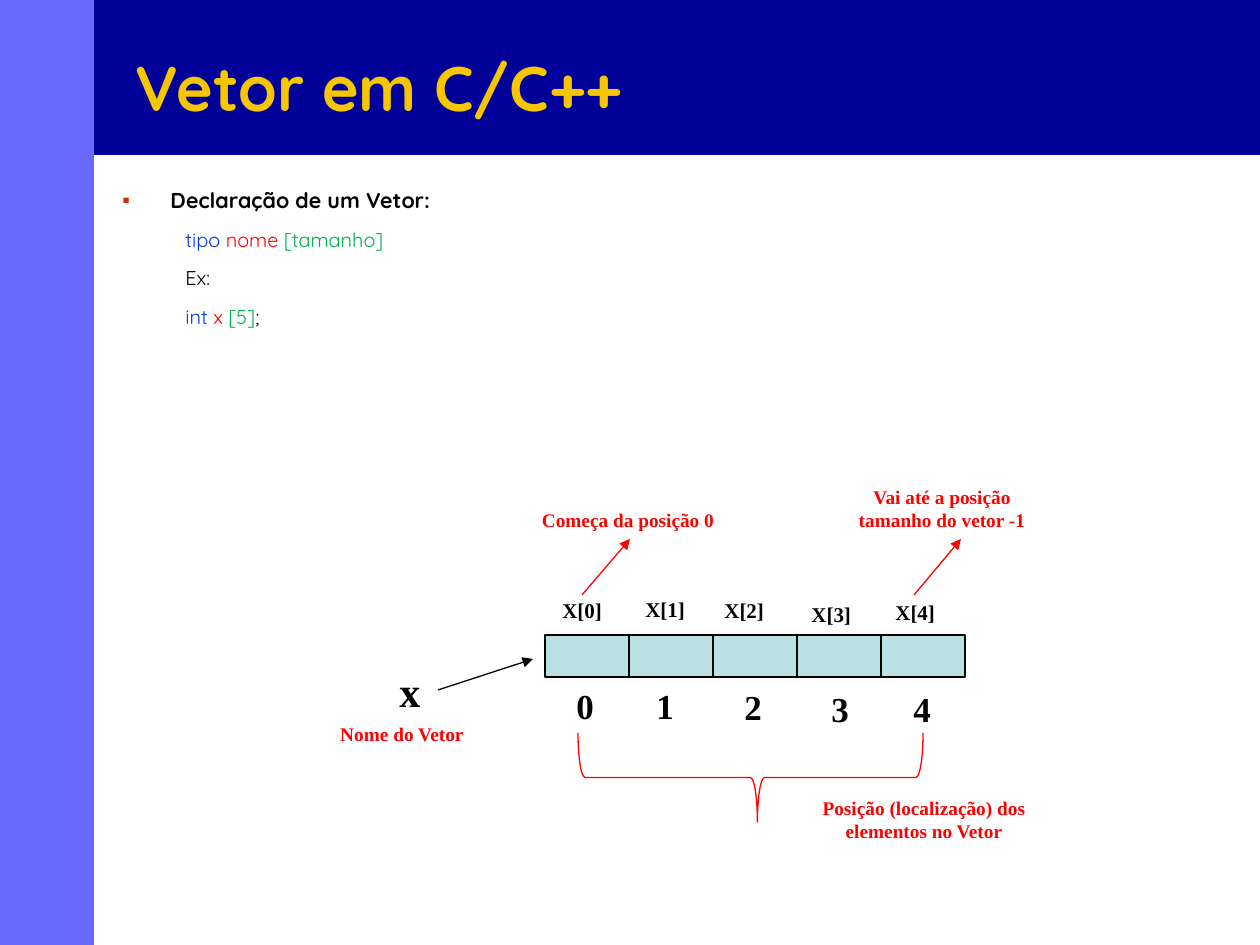
from lxml import etree
from pptx import Presentation
from pptx.dml.color import RGBColor
from pptx.enum.shapes import MSO_CONNECTOR, MSO_SHAPE
from pptx.enum.text import MSO_ANCHOR, PP_ALIGN
from pptx.oxml.ns import qn
from pptx.util import Emu, Pt

RECT, BRACE = MSO_SHAPE.RECTANGLE, MSO_SHAPE.LEFT_BRACE
LINE = MSO_CONNECTOR.STRAIGHT
LEFT, CENTER, JUSTIFY = PP_ALIGN.LEFT, PP_ALIGN.CENTER, PP_ALIGN.JUSTIFY
MIDDLE = MSO_ANCHOR.MIDDLE
SERIF, SANS = "Times New Roman", "Quicksand"
BLACK, INK, RED, BLUE, GREEN = "000000", "020202", "FF0000", "0038EA", "00B050"
color = RGBColor.from_string


def px(*vals):
    """Turn pixels (126 to the inch) into EMU."""
    return [Emu(round(v * 914400 / 126)) for v in vals]


def label(box, text, size, tint, font=SERIF, align=LEFT):
    shape = slide.shapes.add_textbox(*px(*box))
    frame = shape.text_frame
    frame.word_wrap = True
    frame.text = text
    para = frame.paragraphs[0]
    para.alignment = align
    face = para.runs[0].font
    face.name, face.size, face.bold = font, Pt(size), True
    face.color.rgb = color(tint)
    return frame


prs = Presentation()
prs.slide_width, prs.slide_height = px(1260, 945)
slide = prs.slides.add_slide(prs.slide_layouts[6])

# Header band, side band and the five cells of the vector
cells = [((545 + 84 * i, 635, 84, 42), "BBE0E3", BLACK) for i in range(5)]
bands = [((94, 0, 1166, 155), "000099", None), ((0, 0, 94, 945), "6969FF", None)]
for box, fill, edge in bands + cells:
    rect = slide.shapes.add_shape(RECT, *px(*box))
    rect.shadow.inherit = False
    rect.fill.solid()
    rect.fill.fore_color.rgb = color(fill)
    if edge:
        rect.line.color.rgb = color(edge)
        rect.line.width = Pt(0.75)
    else:
        rect.line.fill.background()

title = label((123, 38, 1074, 97), "Vetor em C/C++", 36, "F6C700", SANS)
title.vertical_anchor = MIDDLE

# Declaration: a bulleted heading, then lines of coloured parts
body = label((110, 186, 1150, 204), "Declaração de um Vetor:", 12.3, BLACK, SANS, JUSTIFY)
head = body.paragraphs[0]
head.line_spacing = 0.8
props = head._p.get_or_add_pPr()
props.set("marL", str(px(48)[0]))
props.set("indent", str(px(-48)[0]))
tone = etree.SubElement(props, qn("a:buClr"))
etree.SubElement(tone, qn("a:srgbClr"), val="CC3300")
etree.SubElement(props, qn("a:buFont"), typeface="Arial")
etree.SubElement(props, qn("a:buChar"), char="▪")

rows = [
    [("tipo ", BLUE), ("nome ", RED), ("[tamanho]", GREEN)],
    [("Ex:", BLACK)],
    [("int ", BLUE), ("x ", RED), ("[5]", GREEN), (";", BLACK)],
]
for row in rows:
    para = body.add_paragraph()
    para.alignment = JUSTIFY
    para.line_spacing = 0.8
    para.space_before = Pt(11)
    para._p.get_or_add_pPr().set("marL", str(px(63)[0]))
    for text, tint in row:
        run = para.add_run()
        run.text = text
        run.font.name, run.font.size = SANS, Pt(11.4)
        run.font.color.rgb = color(tint)

# Element names above the cells, positions below: left, top
names = [(550, 591), (633, 590), (712, 591), (799, 595), (883, 593)]
spots = [(564, 678), (644, 678), (732, 679), (819, 681), (901, 681)]
for i, (name, spot) in enumerate(zip(names, spots)):
    label((*name, 68, 38), f"X[{i}]", 12, INK)
    label((*spot, 46, 55), str(i), 20, INK)

label((387, 659, 68, 63), "x", 24, INK)
notes = [
    ((319, 716, 166, 37), "Nome do Vetor"),
    ((774, 790, 300, 59), "Posição (localização) dos elementos no Vetor"),
    ((478, 502, 300, 37), "Começa da posição 0"),
    ((833, 479, 218, 59), "Vai até a posição tamanho do vetor -1"),
]
for box, text in notes:
    label(box, text, 11, RED, align=CENTER)

arrows = [
    ((438, 690, 533, 659), BLACK),
    ((582, 595, 630, 539), RED),
    ((914, 595, 961, 539), RED),
]
for ends, tint in arrows:
    arrow = slide.shapes.add_connector(LINE, *px(*ends))
    arrow.line.color.rgb = color(tint)
    arrow.line.width = Pt(0.75)
    etree.SubElement(arrow.line._get_or_add_ln(), qn("a:tailEnd"), type="triangle")
    etree.SubElement(arrow._element.spPr, qn("a:effectLst"))

# Brace under the positions, turned to point down
brace = slide.shapes.add_shape(BRACE, *px(706, 605, 89, 345))
brace.rotation = 270
brace.adjustments[0], brace.adjustments[1] = 0.08, 0.52
brace.shadow.inherit = False
brace.fill.background()
brace.line.color.rgb = color(RED)
brace.line.width = Pt(0.75)

prs.save("out.pptx")
